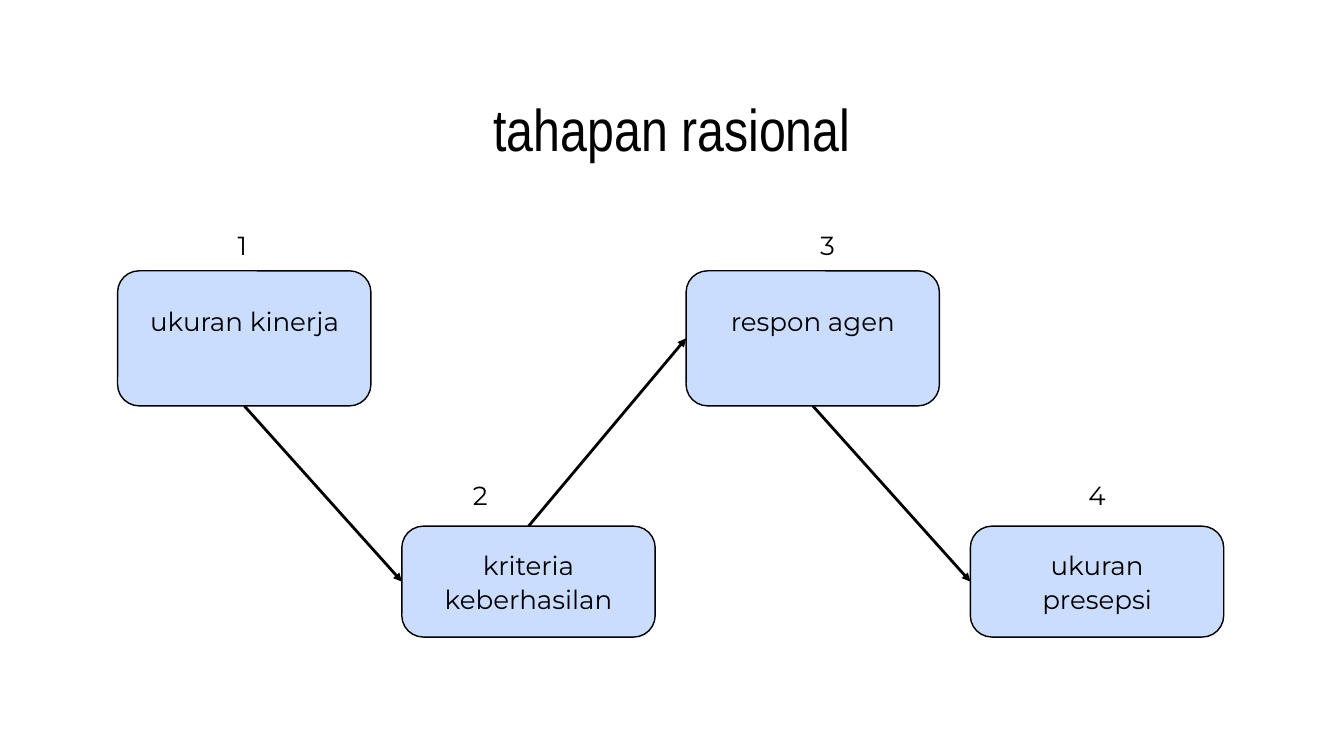
from dataclasses import dataclass

from lxml import etree
from pptx import Presentation
from pptx import util as u
from pptx.dml.color import RGBColor
from pptx.enum import shapes, text
from pptx.oxml import ns

BLACK, BLUE = "000000", "CADDFF"
BOX_W, STEP_X, LEFT, RADIUS = 3.77, 4.23, 1.75, 0.32


@dataclass
class Stage:
    label: str
    top: float
    height: float
    text_left: float
    text_top: float
    text_width: float
    text_height: float
    number_left: float
    number_top: float


STAGES = [
    Stage("ukuran kinerja", 4.03, 2.01, 1.97, 4.51, 3.34, 0.49, 2.88, 3.37),
    Stage("kriteria keberhasilan", 7.83, 1.65, 6.2, 8.14, 3.33, 0.99, 6.42, 7.09),
    Stage("respon agen", 4.03, 2.01, 10.43, 4.51, 3.33, 0.49, 11.59, 3.37),
    Stage("ukuran presepsi", 7.83, 1.65, 14.87, 8.14, 2.91, 0.99, 15.6, 7.09),
]


def rgb(value: str) -> RGBColor:
    return RGBColor.from_string(value)


def write(sp, content: str, font: str, size: float, spacing: float) -> None:
    tf = sp.text_frame
    frame = dict(word_wrap=True, auto_size=text.MSO_AUTO_SIZE.NONE,
                 vertical_anchor=text.MSO_ANCHOR.TOP, margin_left=0,
                 margin_right=0, margin_top=0, margin_bottom=0)
    for name, value in frame.items():
        setattr(tf, name, value)
    p = tf.paragraphs[0]
    p.alignment = text.PP_ALIGN.CENTER
    p.line_spacing = u.Pt(spacing)
    p.space_before = u.Pt(0)
    r = p.add_run()
    r.text = content
    r.font.name, r.font.size = font, u.Pt(size)
    r.font.color.rgb = rgb(BLACK)


def add_label(slide, content: str, *box: float) -> None:
    sp = slide.shapes.add_textbox(*map(u.Inches, box))
    write(sp, content, "Montserrat", 28, 36.4)


def add_box(slide, index: int, stage: Stage):
    box = (LEFT + index * STEP_X, stage.top, BOX_W, stage.height)
    sp = slide.shapes.add_shape(shapes.MSO_SHAPE.ROUNDED_RECTANGLE,
                                *map(u.Inches, box))
    sp.adjustments[0] = RADIUS / stage.height
    sp.shadow.inherit = False
    sp.fill.solid()
    sp.fill.fore_color.rgb = rgb(BLUE)
    sp.line.color.rgb = rgb(BLACK)
    sp.line.width = u.Pt(1.5)
    return sp


def add_arrow(slide, start, start_site: int, end) -> None:
    c = slide.shapes.add_connector(shapes.MSO_CONNECTOR.STRAIGHT, 0, 0, 0, 0)
    c.begin_connect(start, start_site)
    c.end_connect(end, 1)
    c.line.color.rgb = rgb(BLACK)
    c.line.width = u.Pt(3)
    etree.SubElement(c.line._get_or_add_ln(), ns.qn("a:tailEnd"), type="triangle")
    etree.SubElement(c._element.spPr, ns.qn("a:effectLst"))


def main() -> None:
    prs = Presentation()
    prs.slide_width, prs.slide_height = u.Inches(20), u.Inches(11.25)
    s = prs.slides.add_slide(prs.slide_layouts[5])

    # Title
    title = s.shapes.title
    place = dict(left=5.09, top=1.55, width=9.82, height=0.95)
    for name, value in place.items():
        setattr(title, name, u.Inches(value))
    write(title, "tahapan rasional", "Arial Narrow", 63.1, 63.8)

    # Stage boxes with their labels and numbers
    boxes = [add_box(s, i, stage) for i, stage in enumerate(STAGES)]
    for number, stage in enumerate(STAGES, 1):
        add_label(s, stage.label, stage.text_left, stage.text_top,
                  stage.text_width, stage.text_height)
        add_label(s, str(number), stage.number_left, stage.number_top, 1.45, 0.49)

    # Arrows leave upper boxes at the bottom and lower boxes at the top
    for start, end in zip(boxes, boxes[1:]):
        add_arrow(s, start, 2 if start.top < end.top else 0, end)

    prs.save("out.pptx")


if __name__ == "__main__":
    main()
